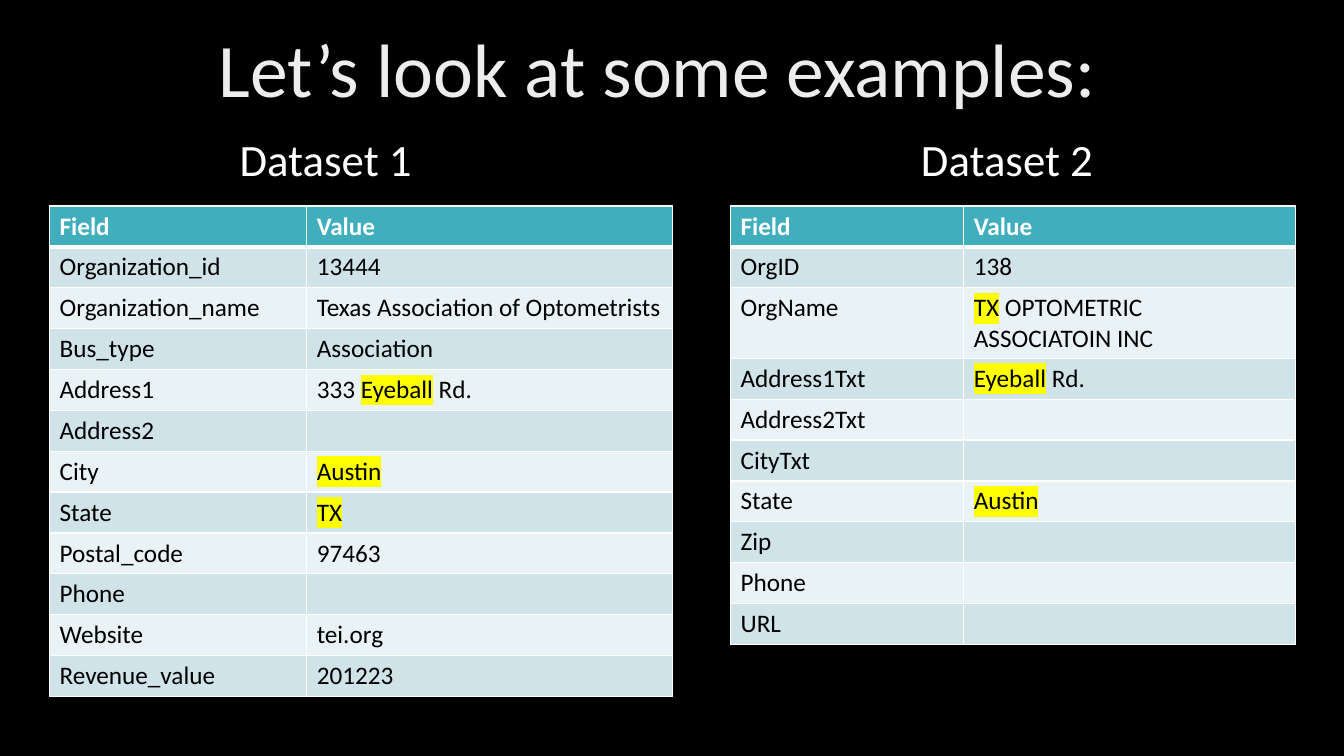
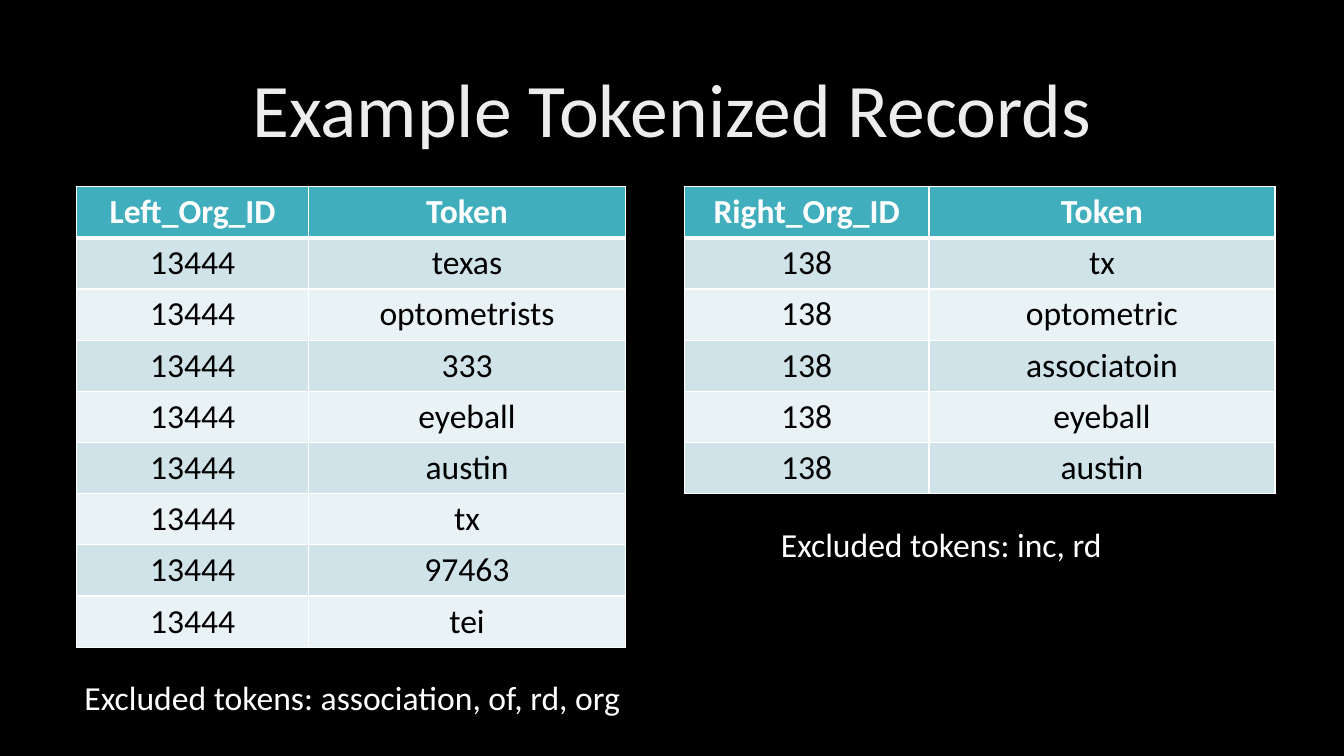
from lxml import etree
from pptx import Presentation
from pptx.dml.color import RGBColor
from pptx.enum.text import MSO_ANCHOR, PP_ALIGN
from pptx.oxml.ns import qn
from pptx.util import Cm, Pt

LEFT, CENTER = PP_ALIGN.LEFT, PP_ALIGN.CENTER
TOP, MIDDLE = MSO_ANCHOR.TOP, MSO_ANCHOR.MIDDLE

BLACK = RGBColor(0x00, 0x00, 0x00)
WHITE = RGBColor(0xFF, 0xFF, 0xFF)
TITLE_GRAY = RGBColor(0xED, 0xED, 0xED)
TEAL = RGBColor(0x41, 0xAE, 0xBD)
BANDS = [RGBColor(0xE9, 0xF2, 0xF4), RGBColor(0xCF, 0xE3, 0xE8)]
YELLOW = RGBColor(0xFF, 0xFF, 0x00)
FONT = "Calibri"


def add_text(slide, text, box, size, color=WHITE, align=LEFT, anchor=TOP):
    sp = slide.shapes.add_textbox(*[Cm(v) for v in box])
    tf = sp.text_frame
    tf.word_wrap = True
    tf.vertical_anchor = anchor
    p = tf.paragraphs[0]
    p.text = text
    p.alignment = align
    font = p.runs[0].font
    font.name, font.size, font.color.rgb = FONT, Pt(size), color
    return p


def add_grid(slide, left, top, widths, row_height, rows, size, align):
    """Banded table; text between | marks is highlighted."""
    table = slide.shapes.add_table(
        len(rows), len(widths), Cm(left), Cm(top),
        Cm(sum(widths)), Cm(row_height * len(rows))).table
    table.horz_banding = False
    for col, width in zip(table.columns, widths):
        col.width = Cm(width)
    for i, row in enumerate(rows):
        table.rows[i].height = Cm(row_height)
        for j, text in enumerate(row):
            cell = table.cell(i, j)

            # Borders, with a heavy rule below the header
            tc_pr = cell._tc.get_or_add_tcPr()
            for side in "LRTB":
                heavy = (i, side) in ((0, "B"), (1, "T"))
                ln = etree.SubElement(tc_pr, qn("a:ln" + side),
                                      w=str(Pt(3 if heavy else 1)))
                fill = etree.SubElement(ln, qn("a:solidFill"))
                etree.SubElement(fill, qn("a:srgbClr"), val=str(WHITE))
            cell.fill.solid()
            cell.fill.fore_color.rgb = BANDS[i % 2] if i else TEAL

            # Runs
            p = cell.text_frame.paragraphs[0]
            p.alignment = align
            for k, part in enumerate(text.split("|")):
                if not part:
                    continue
                r = p.add_run()
                r.text = part
                r.font.size = Pt(size)
                r.font.bold = i == 0
                r.font.color.rgb = BLACK if i else WHITE
                r.font.name = FONT
                if k % 2:
                    mark = etree.Element(qn("a:highlight"))
                    etree.SubElement(mark, qn("a:srgbClr"), val=str(YELLOW))
                    r.font._element.find(qn("a:latin")).addprevious(mark)


prs = Presentation()
prs.slide_width, prs.slide_height = Cm(33.87), Cm(19.05)

# Black slides with their titles
slides = []
for text, box, align in [
    ("Let’s look at some examples:", (5.26, 0, 23.34, 3.68), LEFT),
    ("Example Tokenized Records", (2.33, 1.01, 29.21, 3.68), CENTER),
]:
    s = prs.slides.add_slide(prs.slide_layouts[6])
    s.background.fill.solid()
    s.background.fill.fore_color.rgb = BLACK
    p = add_text(s, text, box, 54, TITLE_GRAY, align, MIDDLE)
    p.line_spacing = 0.9
    slides.append(s)
examples, tokens = slides

# Slide 1: the two datasets
dataset_1 = [
    ("Field", "Value"),
    ("Organization_id", "13444"),
    ("Organization_name", "Texas Association of Optometrists"),
    ("Bus_type", "Association"),
    ("Address1", "333 |Eyeball| Rd."),
    ("Address2", ""),
    ("City", "|Austin|"),
    ("State", "|TX|"),
    ("Postal_code", "97463"),
    ("Phone", ""),
    ("Website", "tei.org"),
    ("Revenue_value", "201223"),
]
dataset_2 = [
    ("Field", "Value"),
    ("OrgID", "138"),
    ("OrgName", "|TX| OPTOMETRIC ASSOCIATOIN INC"),
    ("Address1Txt", "|Eyeball| Rd."),
    ("Address2Txt", ""),
    ("CityTxt", ""),
    ("State", "|Austin|"),
    ("Zip", ""),
    ("Phone", ""),
    ("URL", ""),
]
for name, name_left, left, widths, rows in [
    ("Dataset 1", 5.79, 1.25, (6.48, 9.22), dataset_1),
    ("Dataset 2", 22.96, 18.41, (5.88, 8.35), dataset_2),
]:
    add_text(examples, name, (name_left, 3.2, 5.1, 1.62), 32)
    add_grid(examples, left, 5.19, widths, 1.03, rows, 18, LEFT)

# Slide 2: tokens of each record
left_tokens = ["texas", "optometrists", "333", "eyeball", "austin", "tx",
               "97463", "tei"]
right_tokens = ["tx", "optometric", "associatoin", "eyeball", "austin"]
for head, org_id, words, left, widths, note, note_left, note_top in [
    ("Left_Org_ID", "13444", left_tokens, 1.93, (5.85, 7.98),
     "association, of, rd, org", 1.88, 16.92),
    ("Right_Org_ID", "138", right_tokens, 17.25, (6.16, 8.72),
     "inc, rd", 19.43, 13.08),
]:
    rows = [(head, "Token")] + [(org_id, word) for word in words]
    add_grid(tokens, left, 4.7, widths, 1.29, rows, 24, CENTER)
    add_text(tokens, "Excluded tokens: " + note,
             (note_left, note_top, 14.4, 1.28), 24)

prs.save("out.pptx")
